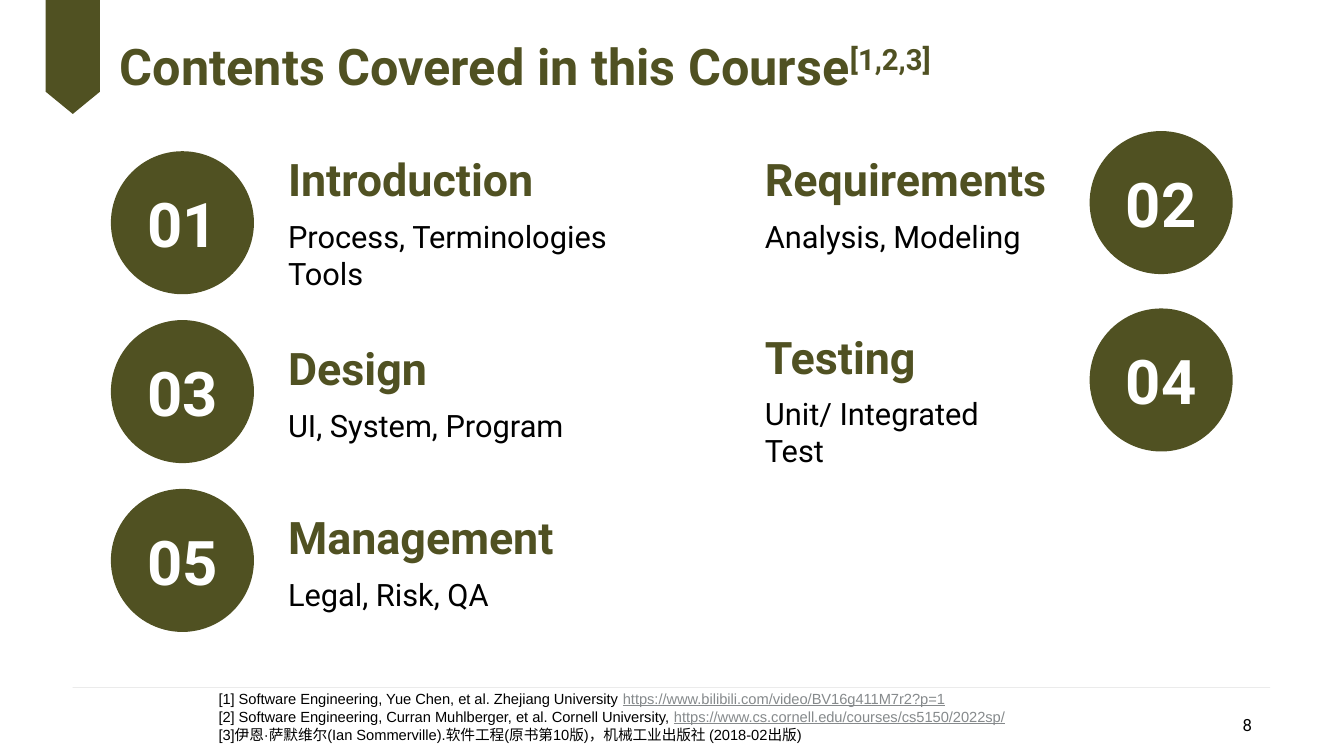
from lxml.etree import SubElement
from pptx import Presentation
from pptx.dml.color import RGBColor
from pptx.enum.shapes import MSO_CONNECTOR, MSO_SHAPE
from pptx.enum.text import MSO_ANCHOR, MSO_AUTO_SIZE, PP_ALIGN
from pptx.oxml.ns import qn
from pptx.util import Pt

OLIVE, BLACK, WHITE, GRAY, RULE = "505122", "000000", "FFFFFF", "868A8C", "BFBFBF"
CIRCLE_SIZE = 102.2
LEFT_COLUMN = {"text_left": 198.7, "circle_left": 79.2, "first_top": 108, "pitch": 120.6}
RIGHT_COLUMN = {"text_left": 539.3, "circle_left": 778.3, "first_top": 93.6, "pitch": 126.7}

TOPICS = [
    ("01", "Introduction", ["Process, Terminologies", "Tools"], LEFT_COLUMN, 0, -14.4, 211, 244),
    ("03", "Design", ["UI, System, Program"], LEFT_COLUMN, 1, 0, 275, 221),
    ("02", "Requirements", ["Analysis, Modeling"], RIGHT_COLUMN, 0, 0, 263.5, 202),
    ("04", "Testing", ["Unit/ Integrated Test"], RIGHT_COLUMN, 1, 0, 211, 209),
    ("05", "Management", ["Legal, Risk, QA"], LEFT_COLUMN, 2, 0, 275, 169),
]

REFERENCES = [
    ("[1] Software Engineering, Yue Chen, et al. Zhejiang University ",
     "https://www.bilibili.com/video/BV16g411M7r2?p=1"),
    ("[2] Software Engineering, Curran Muhlberger, et al. Cornell University, ",
     "https://www.cs.cornell.edu/courses/cs5150/2022sp/"),
    ("[3]伊恩·萨默维尔(Ian Sommerville).软件工程(原书第10版)，机械工业出版社 (2018-02出版)", ""),
]


def color(hex_text):
    """Turn a hex string into a colour."""
    return RGBColor.from_string(hex_text)


def write(paragraph, text, size=22, fill=BLACK, bold=False, font="Roboto",
          underline=False, superscript=False):
    """Append a formatted run of text to a paragraph."""
    run = paragraph.add_run()
    run.text = text
    run.font.name = font
    run.font.size = Pt(size)
    run.font.bold = bold
    run.font.underline = underline
    run.font.color.rgb = color(fill)
    if superscript:
        run.font._element.set("baseline", "30000")


class CourseSlide:
    """Holds the current slide and draws its elements in the course style."""

    def __init__(self, presentation):
        """Add a title-only slide to the presentation."""
        self.slide = presentation.slides.add_slide(presentation.slide_layouts[5])
        self.shapes = self.slide.shapes

    def rule(self, left, right, top):
        """Draw the faint line above the footer."""
        line = self.shapes.add_connector(
            MSO_CONNECTOR.STRAIGHT, Pt(left), Pt(top), Pt(right), Pt(top))
        line.line.width = Pt(0.25)
        line.line.color.rgb = color(RULE)
        properties = line._element.spPr
        shade = properties.find(".//" + qn("a:srgbClr"))
        SubElement(shade, qn("a:alpha")).set("val", "47000")
        SubElement(properties, qn("a:effectLst"))

    def ribbon(self, left, right, top, shoulder, tip):
        """Draw the pointed ribbon beside the title."""
        builder = self.shapes.build_freeform(Pt(left), Pt(top))
        corners = [(right, top), (right, shoulder), ((left + right) / 2, tip), (left, shoulder)]
        builder.add_line_segments([(Pt(x), Pt(y)) for x, y in corners], close=True)
        self.paint(builder.convert_to_shape())

    def paint(self, shape):
        """Give a shape the flat olive fill."""
        shape.shadow.inherit = False
        shape.fill.solid()
        shape.fill.fore_color.rgb = color(OLIVE)
        shape.line.fill.background()

    def title(self, text, citation):
        """Place and format the title placeholder."""
        title = self.shapes.title
        title.left, title.top, title.width, title.height = Pt(85.7), Pt(18.7), Pt(643), Pt(62)
        frame = title.text_frame
        frame.auto_size = MSO_AUTO_SIZE.NONE
        frame.vertical_anchor = MSO_ANCHOR.MIDDLE
        frame.margin_left = frame.margin_right = frame.margin_top = frame.margin_bottom = 0
        paragraph = frame.paragraphs[0]
        paragraph.alignment = PP_ALIGN.LEFT
        paragraph.line_spacing = 0.9
        write(paragraph, text, size=36, fill=OLIVE, bold=True)
        write(paragraph, citation, size=36, fill=OLIVE, bold=True, superscript=True)

    def text_box(self, shapes, left, top, width, height):
        """Add a wrapping text box and return its frame."""
        frame = shapes.add_textbox(Pt(left), Pt(top), Pt(width), Pt(height)).text_frame
        frame.word_wrap = True
        return frame

    def circle(self, shapes, left, top, number):
        """Draw a numbered circle."""
        shape = shapes.add_shape(
            MSO_SHAPE.OVAL, Pt(left), Pt(top), Pt(CIRCLE_SIZE), Pt(CIRCLE_SIZE))
        self.paint(shape)
        frame = shape.text_frame
        frame.word_wrap = False
        frame.vertical_anchor = MSO_ANCHOR.MIDDLE
        frame.paragraphs[0].alignment = PP_ALIGN.CENTER
        write(frame.paragraphs[0], number, size=44, fill=WHITE, bold=True)

    def topic(self, number, heading, details, column, row, shift, heading_width, detail_width):
        """Draw a group of heading, circle and details."""
        shapes = self.shapes.add_group_shape().shapes
        circle_top = column["first_top"] + row * column["pitch"]
        top, left = circle_top + shift, column["text_left"]
        paragraph = self.text_box(shapes, left, top, heading_width, 54).paragraphs[0]
        paragraph.line_spacing = 1.3
        write(paragraph, heading, size=32, fill=OLIVE, bold=True)
        self.circle(shapes, column["circle_left"], circle_top, number)
        height = 7 + 26.7 * len(details)
        frame = self.text_box(shapes, left, top + 58.3, detail_width, height)
        for index, detail in enumerate(details):
            paragraph = frame.add_paragraph() if index else frame.paragraphs[0]
            write(paragraph, detail)

    def page_number(self, number):
        """Write the page number at the lower right."""
        frame = self.text_box(self.shapes, 685.4, 503.3, 216, 28.8)
        frame.vertical_anchor = MSO_ANCHOR.MIDDLE
        frame.paragraphs[0].alignment = PP_ALIGN.RIGHT
        write(frame.paragraphs[0], number, size=12)

    def references(self, entries):
        """List the sources with their addresses."""
        frame = self.text_box(self.shapes, 113, 469.4, 840, 70)
        frame.margin_top = Pt(22.7)
        for index, (source, address) in enumerate(entries):
            paragraph = frame.add_paragraph() if index else frame.paragraphs[0]
            paragraph.level = 1
            paragraph.line_spacing = Pt(12.9)
            write(paragraph, source, size=10.5, font="Arial")
            if address:
                write(paragraph, address, size=10.5, font="Arial", fill=GRAY, underline=True)


def main():
    """Build the course contents slide."""
    presentation = Presentation()
    presentation.slide_width, presentation.slide_height = Pt(960), Pt(540)
    slide = CourseSlide(presentation)
    slide.rule(51.8, 907.2, 491)
    slide.ribbon(32.6, 71.4, -8, 65.5, 81.4)
    slide.title("Contents Covered in this Course", "[1,2,3]")
    slide.page_number("8")
    for topic in TOPICS:
        slide.topic(*topic)
    slide.references(REFERENCES)
    presentation.save("out.pptx")


if __name__ == "__main__":
    main()
